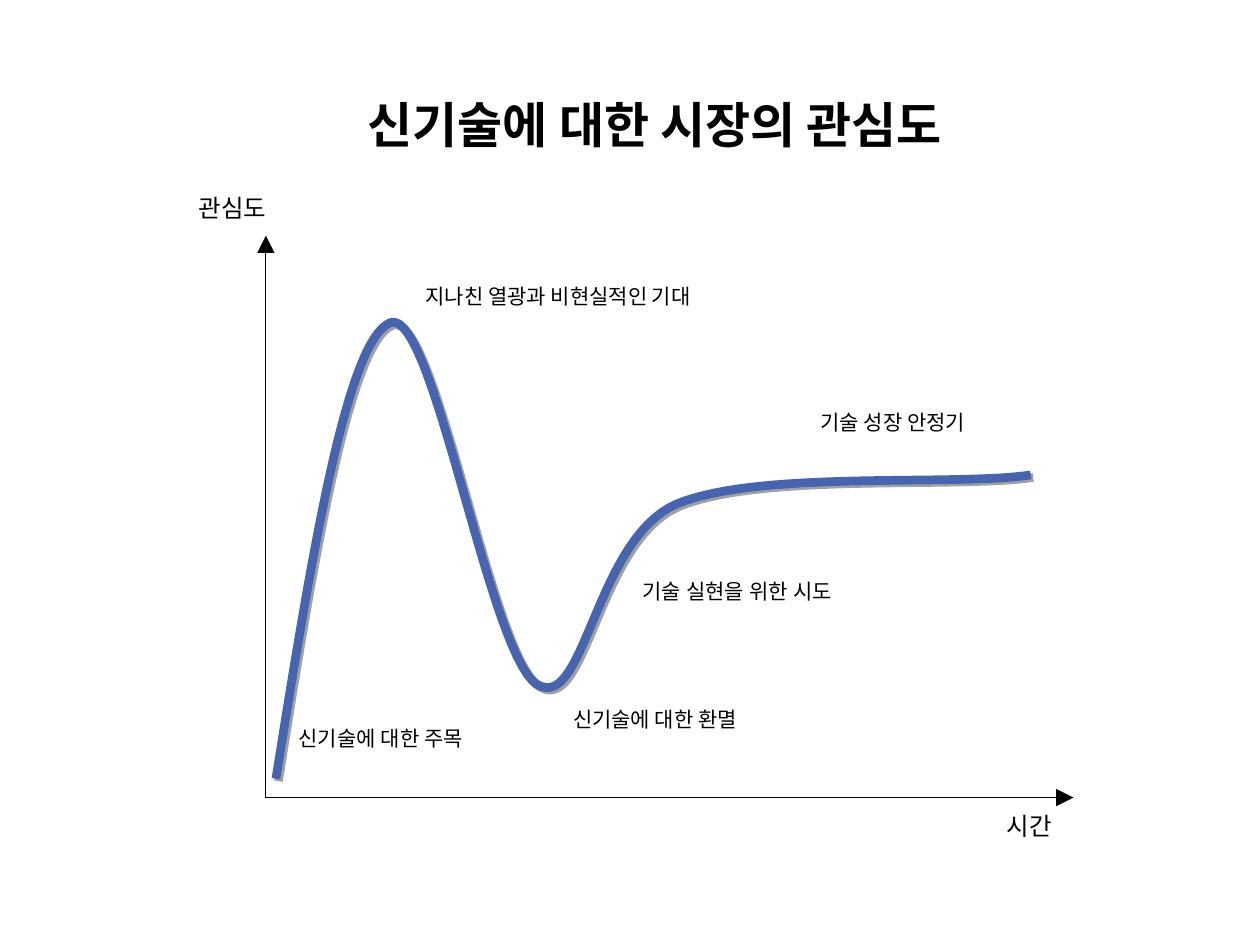
from lxml import etree
from pptx import Presentation
from pptx import util as u
from pptx.dml.color import RGBColor
from pptx.enum import shapes, text
from pptx.oxml.ns import qn

BLACK = RGBColor(0x00, 0x00, 0x00)
CURVE_BLUE = RGBColor(0x47, 0x64, 0xB0)
KOREAN = "Noto Sans CJK KR"
LATIN = "Roboto"

ORIGIN = (2.11, 6.33)
CURVE_START = (2.19, 6.18)
# Each segment: two control points, then its end point.
CURVE_SEGMENTS = [
    ((2.47, 4.43), (2.75, 2.69), (3.1, 2.56)),
    ((3.44, 2.44), (3.88, 5.19), (4.26, 5.43)),
    ((4.64, 5.67), (4.72, 4.28), (5.37, 4)),
    ((6.02, 3.73), (7.57, 3.86), (8.18, 3.77)),
]
STEPS = 30

# left, top, width, height, size, runs of (text, font)
LABELS = [
    (7.89, 6.39, 1.25, 0.34, 14, [("시간", KOREAN)]),
    (1.48, 1.48, 1.8, 0.34, 14, [("관심도", KOREAN)]),
    (2.27, 5.71, 2.11, 0.3, 12, [("신기술에 대한 주목", LATIN)]),
    (3.28, 2.2, 3.05, 0.3, 12, [("지나친 열광과 비현실적인 기대", KOREAN)]),
    (4.45, 5.56, 2.66, 0.3, 12, [("신", LATIN), ("기술에 대한 환멸", KOREAN)]),
    (5, 4.54, 2.81, 0.3, 12, [("기술 실현을 위한 시도", LATIN)]),
    (6.41, 3.2, 2.58, 0.3, 12, [("기술 ", LATIN), ("성장 안정기", KOREAN)]),
]


def set_typeface(font, properties, name):
    """Use one typeface for both Latin and East Asian characters."""
    font.name = name
    east_asian = etree.Element(qn("a:ea"), typeface=name)
    properties.find(qn("a:latin")).addnext(east_asian)


def bezier_points(start, segments):
    points = [start]
    for first, second, end in segments:
        begin = points[-1]
        for step in range(1, STEPS + 1):
            t = step / STEPS
            s = 1 - t
            points.append(tuple(
                s**3 * a + 3 * s**2 * t * b + 3 * s * t**2 * c + t**3 * d
                for a, b, c, d in zip(begin, first, second, end)))
    return points


class InterestSlide:
    def __init__(self, presentation):
        self.slide = presentation.slides.add_slide(presentation.slide_layouts[5])
        self.color = BLACK

    def format_text(self, shape, size, runs, bold=False):
        frame = shape.text_frame
        frame.word_wrap = True
        frame.auto_size = text.MSO_AUTO_SIZE.SHAPE_TO_FIT_TEXT
        frame.vertical_anchor = text.MSO_ANCHOR.TOP
        paragraph = frame.paragraphs[0]
        paragraph.alignment = text.PP_ALIGN.LEFT
        font = paragraph.font
        font.size = u.Pt(size)
        font.bold = bold
        font.color.rgb = self.color
        paragraph_font = runs[0][1]
        set_typeface(font, paragraph._p.pPr.find(qn("a:defRPr")), paragraph_font)
        for words, name in runs:
            run = paragraph.add_run()
            run.text = words
            if name != paragraph_font:
                set_typeface(run.font, run._r.rPr, name)

    def title(self, left, top, width, height, size, words):
        shape = self.slide.shapes.title
        shape.left, shape.top = u.Inches(left), u.Inches(top)
        shape.width, shape.height = u.Inches(width), u.Inches(height)
        self.format_text(shape, size, [(words, KOREAN)], bold=True)

    def label(self, left, top, width, height, size, runs):
        box = self.slide.shapes.add_textbox(
            u.Inches(left), u.Inches(top), u.Inches(width), u.Inches(height))
        self.format_text(box, size, runs)

    def curve(self, points, color, width):
        points = [(u.Inches(x), u.Inches(y)) for x, y in points]
        builder = self.slide.shapes.build_freeform(*points[0])
        builder.add_line_segments(points[1:], close=False)
        shape = builder.convert_to_shape()
        shape.fill.background()
        shape.line.color.rgb = color
        shape.line.width = u.Pt(width)
        shape.shadow.inherit = False
        effects = shape._element.spPr.find(qn("a:effectLst"))
        shadow = etree.SubElement(effects, qn("a:outerShdw"), blurRad="0",
                                  dist=str(u.Pt(2)), dir="2700000", algn="ctr",
                                  rotWithShape="0")
        shade = etree.SubElement(shadow, qn("a:srgbClr"), val=str(BLACK))
        etree.SubElement(shade, qn("a:alpha"), val="37000")

    def axis(self, start, end):
        connector = self.slide.shapes.add_connector(
            shapes.MSO_CONNECTOR.STRAIGHT, *(u.Inches(v) for v in start + end))
        connector.line.color.rgb = self.color
        connector.line.width = u.Pt(0.5)
        properties = connector._element.spPr
        etree.SubElement(properties.find(qn("a:ln")), qn("a:tailEnd"),
                         type="triangle", w="lg", len="lg")
        etree.SubElement(properties, qn("a:effectLst"))


def main():
    presentation = Presentation()
    presentation.slide_width = u.Inches(10)
    presentation.slide_height = u.Inches(7.5)
    slide = InterestSlide(presentation)
    slide.title(2.82, 0.7, 6.16, 0.57, 28, "신기술에 대한 시장의 관심도")
    slide.curve(bezier_points(CURVE_START, CURVE_SEGMENTS), CURVE_BLUE, 5)
    slide.axis(ORIGIN, (8.52, ORIGIN[1]))
    slide.axis(ORIGIN, (ORIGIN[0], 1.87))
    for label in LABELS:
        slide.label(*label)
    presentation.save("out.pptx")


if __name__ == "__main__":
    main()
